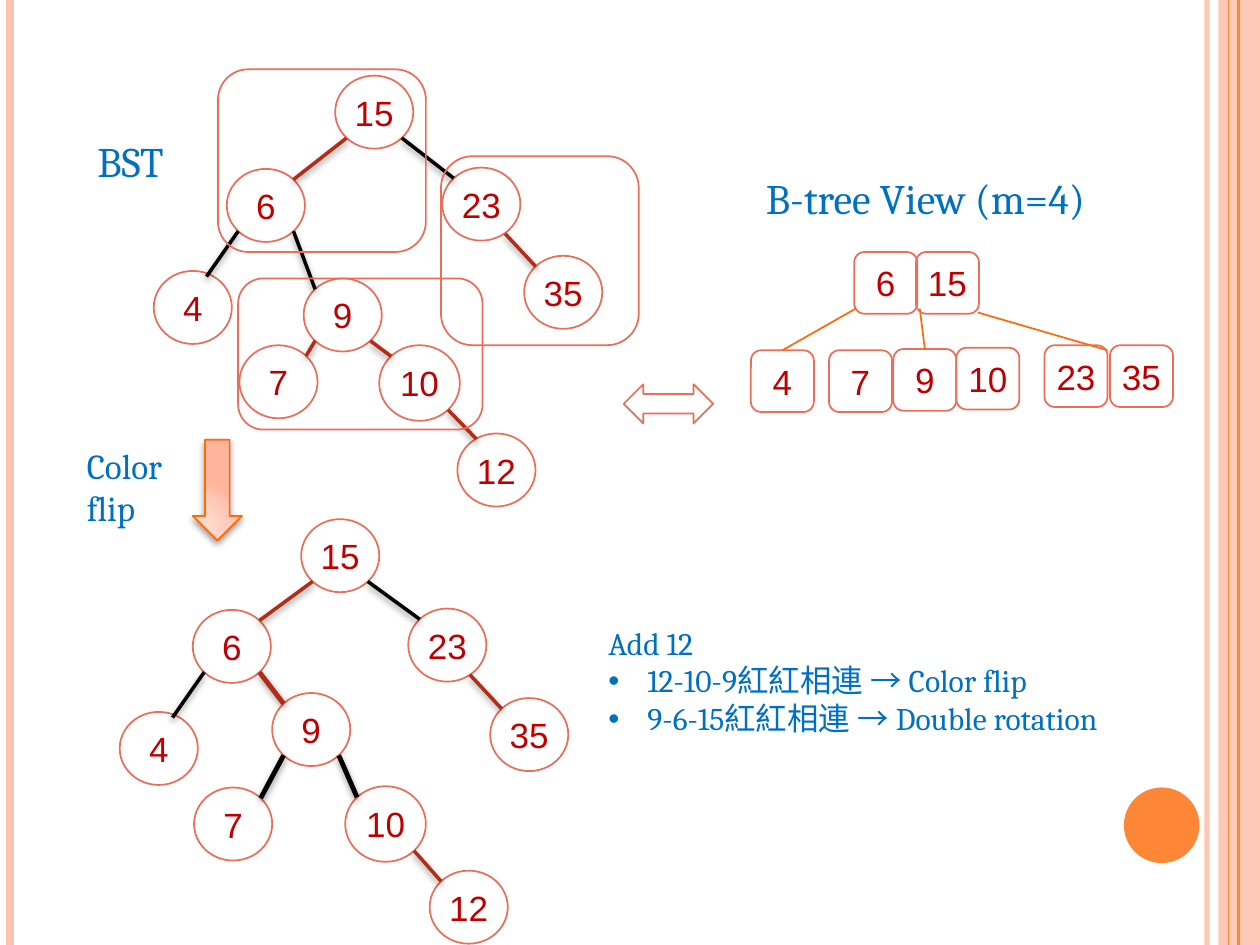
"""Build a slide comparing a red-black search tree with its B-tree view."""
from lxml.etree import SubElement
from pptx import Presentation
from pptx.dml.color import RGBColor
from pptx.enum.shapes import MSO_CONNECTOR, MSO_SHAPE as Shape
from pptx.enum.text import MSO_ANCHOR as Anchor, MSO_AUTO_SIZE as AutoSize, PP_ALIGN as Align
from pptx.oxml import parse_xml
from pptx.oxml.ns import nsdecls, qn
from pptx.util import Inches, Pt

PEACH = RGBColor(0xFE, 0xC3, 0xAE)
ORANGE = RGBColor(0xFE, 0x86, 0x37)
LINK = RGBColor(0xFF, 0x6B, 0x0A)
CORAL = RGBColor(0xEB, 0x6E, 0x5A)
RED = RGBColor(0xB3, 0x2C, 0x16)
BLACK = RGBColor(0, 0, 0)
BLUE = RGBColor(0x00, 0x70, 0xC0)
DIGIT = RGBColor(0xC0, 0, 0)

WIDTH, HEIGHT = 10, 7.5
NODE, WIDE_NODE, KEY = (0.62, 0.58), (0.64, 0.6), (0.5, 0.49)
DIAGONAL = 0.5 ** 0.5 / 2
THIN, THICK = 2, 2.75

RULES = [(9.58, PEACH, 3, 93), (0.08, PEACH, 4.5, 100),
         (9.83, ORANGE, 1.5, 100), (9.75, ORANGE, 0.75, 100)]
TREES = [
    {"nodes": {15: (2.66, 0.6), 6: (1.8, 1.34), 23: (3.51, 1.33), 4: (1.22, 2.15),
               9: (2.41, 2.21), 35: (4.16, 2.03), 7: (1.9, 2.74), 10: (3.01, 2.74),
               12: (3.63, 3.44)},
     "edges": [(15, 6, RED, THIN), (15, 23, BLACK, THIN), (6, 4, BLACK, THIN),
               (6, 9, BLACK, THIN), (23, 35, RED, THIN), (9, 7, RED, THIN),
               (9, 10, RED, THIN), (10, 12, RED, THIN)],
     "nudges": {(6, 4): (0, 0, -0.11, -0.04), (23, 35): (-0.03, 0.03, 0, 0),
                (10, 12): (0, 0, 0.06, -0.04)}},
    {"nodes": {15: (2.39, 4.12), 6: (1.53, 4.84), 23: (3.24, 4.83), 4: (0.95, 5.65),
               9: (2.16, 5.5), 35: (3.89, 5.54), 7: (1.54, 6.25), 10: (2.74, 6.24),
               12: (3.41, 6.91)},
     "edges": [(15, 6, RED, THIN), (15, 23, BLACK, THIN), (6, 4, BLACK, THIN),
               (6, 9, RED, THICK), (23, 35, RED, THIN), (9, 7, BLACK, THICK),
               (9, 10, BLACK, THICK), (10, 12, RED, THIN)],
     "nudges": {(6, 4): (0, 0, -0.11, -0.04), (23, 35): (-0.04, 0.03, 0, 0)}},
]
FRAMES = [(1.73, 0.55, 1.65, 1.45), (1.89, 2.21, 1.94, 1.2), (3.5, 1.24, 1.57, 1.5)]
BTREE_KEYS = {15: (7.27, 2), 6: (6.78, 2), 23: (8.29, 2.74), 4: (5.96, 2.78),
              7: (6.58, 2.78), 9: (7.09, 2.77), 35: (8.81, 2.74), 10: (7.59, 2.76)}
BTREE_LINKS = [(6.79, 2.45, 6.21, 2.78), (7.3, 2.45, 7.34, 2.77), (7.76, 2.48, 8.79, 2.78)]
LABELS = [
    ((0.55, 1.03, 0.97, 0.5), 24, Align.CENTER, ["BST"]),
    ((5.48, 1.32, 3.73, 0.5), 24, Align.CENTER, ["B-tree View (m=4)"]),
    ((0.59, 3.48, 0.99, 0.77), 20, Align.LEFT, ["Color flip"]),
    ((4.73, 4.9, 4.57, 1.01), 18, Align.LEFT,
     ["Add 12", "• 12-10-9紅紅相連 → Color flip", "• 9-6-15紅紅相連 → Double rotation"]),
]
GLOW_STOPS = [(0, "FFDED5"), (30, "FFDBD0"), (75, "FFC8B6"), (100, "FFB59B")]


def set_alpha(item, percent):
    color = next(item._element.spPr.iter(qn("a:srgbClr")))
    SubElement(color, qn("a:alpha"), val=str(percent * 1000))


def set_shadow(item, alpha=40, distance=2.0):
    properties = item._element.spPr
    effects = properties.find(qn("a:effectLst"))
    if effects is None:
        effects = SubElement(properties, qn("a:effectLst"))
    shadow = SubElement(effects, qn("a:outerShdw"), blurRad=str(Pt(4)), dist=str(Pt(distance)),
                        dir="5400000", rotWithShape="0")
    color = SubElement(shadow, qn("a:srgbClr"), val=str(BLACK))
    SubElement(color, qn("a:alpha"), val=str(alpha * 1000))


def add_line(page, ends, color, weight):
    line = page.shapes.add_connector(MSO_CONNECTOR.STRAIGHT, *map(Inches, ends))
    line.line.color.rgb = color
    line.line.width = Pt(weight)
    SubElement(line._element.spPr, qn("a:effectLst"))
    return line


def add_outline(page, kind, area, outline=CORAL, fill=None):
    shape = page.shapes.add_shape(kind, *map(Inches, area))
    shape.shadow.inherit = False
    if fill is None:
        shape.fill.background()
    else:
        shape.fill.solid()
        shape.fill.fore_color.rgb = fill
    if outline is None:
        shape.line.fill.background()
    else:
        shape.line.color.rgb = outline
        shape.line.width = Pt(1)
    return shape


def write(para, text, size, color, font, align):
    span = para.add_run()
    span.text = text
    para.alignment = align
    for name, value in {"size": Pt(size), "name": font}.items():
        setattr(span.font, name, value)
    span.font.color.rgb = color


def add_number(page, kind, area, number):
    frame = add_outline(page, kind, area).text_frame
    margins = {"margin_left": 0.04, "margin_right": 0.04, "margin_top": 0.05, "margin_bottom": 0.05}
    for name, value in margins.items():
        setattr(frame, name, Inches(value))
    frame.vertical_anchor = Anchor.MIDDLE
    write(frame.paragraphs[0], str(number), 20, DIGIT, "Arial", Align.CENTER)


def add_label(page, area, size, align, lines):
    frame = page.shapes.add_textbox(*map(Inches, area)).text_frame
    frame.word_wrap = True
    frame.auto_size = AutoSize.SHAPE_TO_FIT_TEXT
    for index, text in enumerate(lines):
        para = frame.add_paragraph() if index else frame.paragraphs[0]
        write(para, text.removeprefix("• "), size, BLUE, "Cambria", align)
        if text.startswith("• "):
            layout = para._p.get_or_add_pPr()
            layout.set("marL", str(Inches(0.31)))
            layout.set("indent", str(-Inches(0.31)))
            SubElement(layout, qn("a:buFont"), typeface="Arial")
            SubElement(layout, qn("a:buChar"), char="•")


def add_tree(page, nodes, edges, nudges):
    sizes = {number: WIDE_NODE if number == 10 else NODE for number in nodes}

    def corner(number, across, down):
        (left, top), (width, height) = nodes[number], sizes[number]
        return left + width * (0.5 + across * DIAGONAL), top + height * (0.5 + down * DIAGONAL)

    for number, place in nodes.items():
        add_number(page, Shape.OVAL, place + sizes[number], number)
    for parent, child, color, weight in edges:
        side = 1 if child > parent else -1
        ends = corner(parent, side, 1) + corner(child, -side, -1)
        shift = nudges.get((parent, child), (0, 0, 0, 0))
        edge = add_line(page, map(sum, zip(ends, shift)), color, weight)
        if weight == THICK:
            set_shadow(edge, 42, 1.6)
        else:
            set_shadow(edge)


def add_flip_arrow(page):
    arrow = add_outline(page, Shape.DOWN_ARROW, (1.53, 3.49, 0.39, 0.8), LINK)
    stops = "".join(f'<a:gs pos="{place * 1000}"><a:srgbClr val="{color}"/></a:gs>'
                    for place, color in GLOW_STOPS)
    glow = parse_xml(
        f'<a:gradFill {nsdecls("a")} rotWithShape="1"><a:gsLst>{stops}</a:gsLst><a:path path="circle">'
        '<a:fillToRect l="5000" t="100000" r="120000" b="10000"/></a:path></a:gradFill>')
    properties = arrow._element.spPr
    properties.replace(properties.find(qn("a:noFill")), glow)
    set_shadow(arrow)


deck = Presentation()
deck.slide_width, deck.slide_height = Inches(WIDTH), Inches(HEIGHT)
page = deck.slides.add_slide(deck.slide_layouts[6])

band = add_outline(page, Shape.RECTANGLE, (9.67, 0, 0.33, HEIGHT), None, PEACH)
set_alpha(band, 87)
for left, color, weight, alpha in RULES:
    rule = add_line(page, (left, 0, left, HEIGHT), color, weight)
    if alpha < 100:
        set_alpha(rule, alpha)
add_outline(page, Shape.OVAL, (8.92, 6.25, 0.6, 0.6), None, ORANGE)

for tree in TREES:
    add_tree(page, **tree)
for area in FRAMES:
    add_outline(page, Shape.ROUNDED_RECTANGLE, area)
for number, place in BTREE_KEYS.items():
    add_number(page, Shape.ROUNDED_RECTANGLE, place + KEY, number)
for ends in BTREE_LINKS:
    add_line(page, ends, LINK, 1)
for label in LABELS:
    add_label(page, *label)
add_flip_arrow(page)
add_outline(page, Shape.LEFT_RIGHT_ARROW, (4.95, 3.05, 0.71, 0.31))

deck.save("out.pptx")
